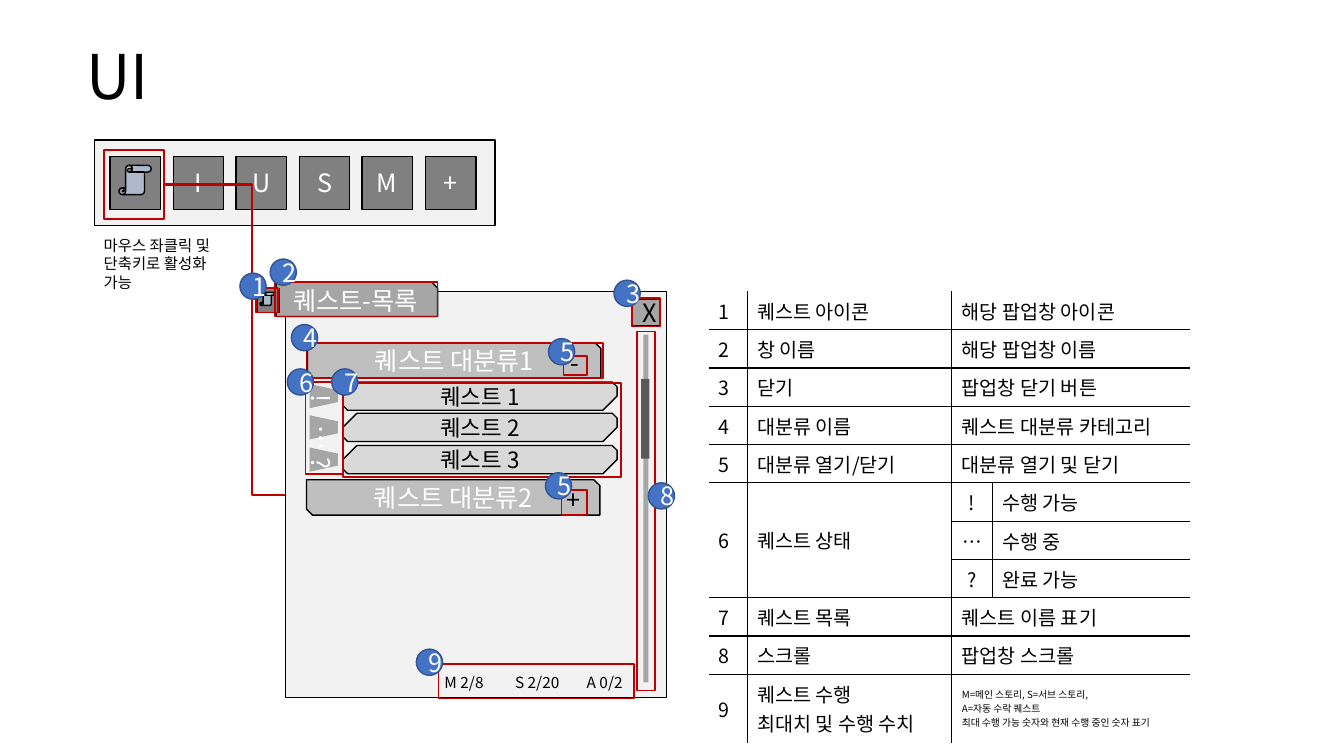
from dataclasses import dataclass
from lxml.etree import SubElement
from pptx import Presentation
from pptx.dml.color import RGBColor
from pptx.enum.shapes import MSO_CONNECTOR, MSO_SHAPE
from pptx.enum.text import MSO_ANCHOR, PP_ALIGN
from pptx.oxml.ns import qn
from pptx.util import Pt

PX = 9144


@dataclass(frozen=True)
class Theme:
    font: str = "Noto Sans CJK KR"
    black: str = "000000"
    white: str = "FFFFFF"
    panel: str = "F2F2F2"
    button: str = "808080"
    scroll: str = "ADB9CA"
    gray: str = "A6A6A6"
    category: str = "BFBFBF"
    quest: str = "D9D9D9"
    thumb: str = "595959"
    red: str = "C00000"
    blue: str = "4472C4"
    blue_line: str = "325491"
    title: int = 44
    label: int = 18
    item: int = 16
    cell: int = 14
    note: int = 11
    small: int = 7


T = Theme()
ROWS = [
    ("1", "퀘스트 아이콘", "해당 팝업창 아이콘"),
    ("2", "창 이름", "해당 팝업창 이름"),
    ("3", "닫기", "팝업창 닫기 버튼"),
    ("4", "대분류 이름", "퀘스트 대분류 카테고리"),
    ("5", "대분류 열기/닫기", "대분류 열기 및 닫기"),
    ("6", "퀘스트 상태", "!", "수행 가능"),
    ("", "", "…", "수행 중"),
    ("", "", "?", "완료 가능"),
    ("7", "퀘스트 목록", "퀘스트 이름 표기"),
    ("8", "스크롤", "팝업창 스크롤"),
    ("9", "퀘스트 수행\n최대치 및 수행 수치",
     "M=메인 스토리, S=서브 스토리,\nA=자동 수락 퀘스트\n최대 수행 가능 숫자와 현재 수행 중인 숫자 표기"),
]


def px(*lengths):
    return [n * PX for n in lengths]


def write(tf, text, size=T.label, color=T.black, align=PP_ALIGN.LEFT, spacing=None):
    for i, line in enumerate(text.split("\n")):
        p = tf.add_paragraph() if i else tf.paragraphs[0]
        p.alignment = align
        if spacing:
            p.line_spacing = spacing
        r = p.add_run()
        r.text = line
        r.font.size = Pt(size)
        r.font.color.rgb = RGBColor.from_string(color)
        r.font.name = T.font
        SubElement(r.font._element, qn("a:ea"), typeface=T.font)


def textbox(s, box, text, anchor=MSO_ANCHOR.TOP, **fmt):
    tf = s.shapes.add_textbox(*px(*box)).text_frame
    tf.word_wrap = True
    tf.vertical_anchor = anchor
    write(tf, text, **fmt)


def shape(s, box, fill=None, line=T.black, kind=MSO_SHAPE.RECTANGLE, adj=(),
          width=1, text="", rotation=0, **fmt):
    sp = s.shapes.add_shape(kind, *px(*box))
    sp.shadow.inherit = False
    sp.rotation = rotation
    for i, value in enumerate(adj):
        sp.adjustments[i] = value
    if fill:
        sp.fill.solid()
        sp.fill.fore_color.rgb = RGBColor.from_string(fill)
    else:
        sp.fill.background()
    if line:
        sp.line.color.rgb = RGBColor.from_string(line)
        sp.line.width = Pt(width)
    else:
        sp.line.fill.background()
    if text:
        write(sp.text_frame, text, align=PP_ALIGN.CENTER, **fmt)


def outline(s, *box):
    shape(s, box, line=T.red, width=1.25)


def scroll_icon(s, x, y, w, h):
    shape(s, (x, y, w, h), T.button)
    shape(s, (x + w * 18 // 100, y + h * 18 // 100, w * 64 // 100, h * 55 // 100),
          T.scroll, kind=MSO_SHAPE.VERTICAL_SCROLL, adj=(0.23,))


def toolbar(s, x, y, w, h):
    shape(s, (x, y, w, h), T.panel)
    for i, key in enumerate("IUSM+"):
        shape(s, (x + 78 + i * 125 // 2, y + 16, 50, 53), T.button, text=key, color=T.white)
    outline(s, x + 9, y + 10, 60, 68)
    scroll_icon(s, x + 15, y + 16, 50, 53)
    textbox(s, (x - 1, y + 90, 140, 66), "마우스 좌클릭 및 단축키로 활성화 가능", size=T.note)


def category(s, x, y, w, h, text, sign):
    snip = MSO_SHAPE.SNIP_2_DIAG_RECTANGLE
    shape(s, (x, y, w, h), T.category, kind=snip, text=text, color=T.white)
    shape(s, (x + 245, y + 10, 40, 19), T.category, None, snip, text=sign)


def window(s, x, y, w, h):
    shape(s, (x, y, w, h), T.panel)
    shape(s, (x - 9, y - 9, 160, 34), T.gray, kind=MSO_SHAPE.SNIP_1_RECTANGLE,
          text="퀘스트-목록", color=T.white)
    shape(s, (x + w - 34, y + 8, 28, 26), T.gray, text="X")
    category(s, x + 22, y + 51, 291, 35, "퀘스트 대분류1", "-")
    category(s, x + 21, y + 187, 291, 35, "퀘스트 대분류2", "+")
    for i, mark in enumerate("!…?"):
        top = y + 90 + i * 63 // 2
        shape(s, (x + 57, top, 272, 28), T.quest, kind=MSO_SHAPE.SNIP_2_DIAG_RECTANGLE,
              adj=(0.5, 0.17), text=f"퀘스트 {i + 1}", size=T.item)
        shape(s, (x + 26, top, 24, 28), T.gray, None, MSO_SHAPE.TRAPEZOID,
              rotation=90, text=mark, color=T.white)
    shape(s, (x + w - 23, y + 43, 5, 345), T.gray, None)
    shape(s, (x + w - 25, y + 87, 8, 79), T.thumb, None)
    for i, count in enumerate(("M 2/8", "S 2/20", "A 0/2")):
        textbox(s, (x + 148 + i * 141 // 2, y + 374, 66, 29), count, size=T.note)
    scroll_icon(s, x - 28, y - 3, 22, 24)


def link(s, x1, y1, x2, y2):
    c = s.shapes.add_connector(MSO_CONNECTOR.ELBOW, *px(x1, y1, x2, y2))
    c.line.color.rgb = RGBColor.from_string(T.red)
    c.line.width = Pt(1.5)
    SubElement(c._element.spPr, qn("a:effectLst"))
    guides = c._element.spPr.find(qn("a:prstGeom")).find(qn("a:avLst"))
    SubElement(guides, qn("a:gd"), name="adj1", fmla="val 72500")


def callouts(s, x, y):
    for dx, dy, w, h in ((-10, -9, 161, 34), (-29, -3, 22, 24), (344, 7, 28, 28),
                         (21, 51, 294, 35), (274, 197, 25, 25), (276, 64, 23, 19),
                         (57, 91, 276, 93), (349, 40, 18, 356), (152, 370, 194, 34),
                         (20, 90, 37, 91)):
        outline(s, x + dx, y + dy, w, h)
    for number, dx, dy in ((1, -45, -18), (2, -15, -32), (3, 326, -11), (4, 6, 33),
                           (5, 261, 47), (5, 258, 180), (8, 360, 190), (9, 130, 355),
                           (7, 46, 77), (6, 2, 77)):
        shape(s, (x + dx, y + dy, 26, 26), T.blue, T.blue_line, MSO_SHAPE.OVAL,
              text=str(number), color=T.white)


def borders(cell, **sides):
    tc_pr = cell._tc.get_or_add_tcPr()
    for side, shown in sides.items():
        ln = SubElement(tc_pr, qn(f"a:ln{side}"), w=str(Pt(1)))
        if shown:
            SubElement(SubElement(ln, qn("a:solidFill")), qn("a:srgbClr"), val=T.black)
        else:
            SubElement(ln, qn("a:noFill"))


def legend(s, x, y, w, h):
    last = len(ROWS) - 1
    tbl = s.shapes.add_table(len(ROWS), 4, *px(x, y, w, h)).table
    tbl.first_row = tbl.horz_banding = False
    for col, width in zip(tbl.columns, (38, 203, 40, 196)):
        col.width = width * PX
    for i, values in enumerate(ROWS):
        tbl.rows[i].height = (68 if i == last else 38) * PX
        if len(values) == 3:
            tbl.cell(i, 2).merge(tbl.cell(i, 3))
    for j in (0, 1):
        tbl.cell(5, j).merge(tbl.cell(7, j))
    for i, values in enumerate(ROWS):
        for j, text in enumerate(values):
            cell = tbl.cell(i, j)
            if cell.is_spanned:
                continue
            right = j + (cell.span_width if cell.is_merge_origin else 1)
            borders(cell, L=j > 0, R=right < 4, T=i > 0, B=i < last)
            cell.fill.background()
            cell.vertical_anchor = MSO_ANCHOR.MIDDLE
            mark = len(values) == 4 and j == 2
            write(cell.text_frame, text, size=T.small if (i, j) == (last, 2) else T.cell,
                  align=PP_ALIGN.CENTER if mark else PP_ALIGN.LEFT)


def main():
    prs = Presentation()
    prs.slide_width, prs.slide_height = px(1333, 750)
    s = prs.slides.add_slide(prs.slide_layouts[6])
    textbox(s, (76, 32, 1181, 94), "UI", MSO_ANCHOR.MIDDLE, size=T.title, spacing=0.9)
    toolbar(s, 94, 139, 397, 85)
    window(s, 283, 289, 378, 403)
    link(s, 163, 183, 283, 491)
    legend(s, 703, 289, 477, 448)
    callouts(s, 283, 289)
    prs.save("out.pptx")


if __name__ == "__main__":
    main()
